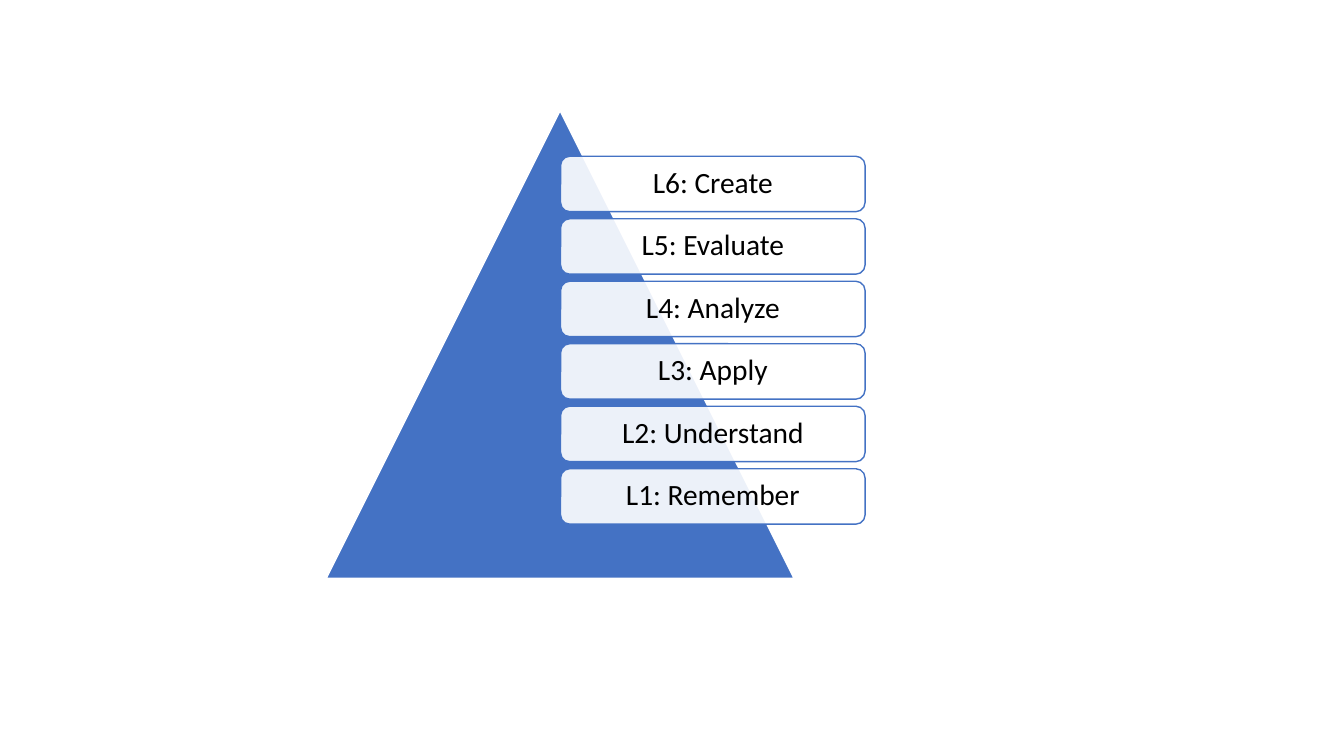
from dataclasses import dataclass

from lxml import etree
from pptx import Presentation
from pptx.dml.color import RGBColor
from pptx.enum.shapes import MSO_SHAPE
from pptx.enum.text import MSO_ANCHOR, PP_ALIGN
from pptx.oxml.ns import qn
from pptx.util import Inches, Pt

TRIANGLE = MSO_SHAPE.ISOSCELES_TRIANGLE
ROUNDED = MSO_SHAPE.ROUNDED_RECTANGLE
MIDDLE = MSO_ANCHOR.MIDDLE
CENTER = PP_ALIGN.CENTER

LEVELS = ["Create", "Evaluate", "Analyze", "Apply", "Understand", "Remember"]


@dataclass(frozen=True)
class Theme:
    blue: str = "4472C4"
    white: str = "FFFFFF"
    black: str = "000000"
    font: str = "Calibri"
    label_size: float = 21
    card_opacity: int = 90


THEME = Theme()
PYRAMID_LEFT, PYRAMID_TOP, PYRAMID_SIZE = 3.23, 1.09, 4.65
CARD_LEFT, CARD_TOP, CARD_WIDTH, CARD_HEIGHT = 5.56, 1.55, 3.02, 0.55
CARD_STEP = 0.62
CARD_INSET = 0.09


def add_panel(page, kind, left, top, width, height, fill, line, line_width, opacity=100):
    panel = page.shapes.add_shape(
        kind, Inches(left), Inches(top), Inches(width), Inches(height)
    )
    panel.shadow.inherit = False
    panel.fill.solid()
    panel.fill.fore_color.rgb = RGBColor.from_string(fill)
    panel.line.color.rgb = RGBColor.from_string(line)
    panel.line.width = Pt(line_width)
    if opacity < 100:
        color = panel.fill._xPr.find(qn("a:solidFill"))[0]
        etree.SubElement(color, qn("a:alpha"), val=str(opacity * 1000))
    return panel


def write_text(box, text, size, color, font, inset, line_spacing=0.9):
    frame = box.text_frame
    frame.word_wrap = True
    frame.vertical_anchor = MIDDLE
    frame.margin_left = frame.margin_right = Inches(inset)
    frame.margin_top = frame.margin_bottom = Inches(inset)
    para = frame.paragraphs[0]
    para.alignment = CENTER
    para.line_spacing = line_spacing
    span = para.add_run()
    span.text = text
    span.font.size = Pt(size)
    span.font.name = font
    span.font.color.rgb = RGBColor.from_string(color)


deck = Presentation()
deck.slide_width = Inches(13.33)
deck.slide_height = Inches(7.5)
page = deck.slides.add_slide(deck.slide_layouts[6])

add_panel(page, TRIANGLE, PYRAMID_LEFT, PYRAMID_TOP, PYRAMID_SIZE, PYRAMID_SIZE,
          fill=THEME.blue, line=THEME.white, line_width=1.5)

for index, level in enumerate(LEVELS):
    card = add_panel(page, ROUNDED, CARD_LEFT, CARD_TOP + index * CARD_STEP,
                     CARD_WIDTH, CARD_HEIGHT, fill=THEME.white, line=THEME.blue,
                     line_width=1, opacity=THEME.card_opacity)
    write_text(card, f"L{len(LEVELS) - index}: {level}", size=THEME.label_size,
               color=THEME.black, font=THEME.font, inset=CARD_INSET)

deck.save("out.pptx")
